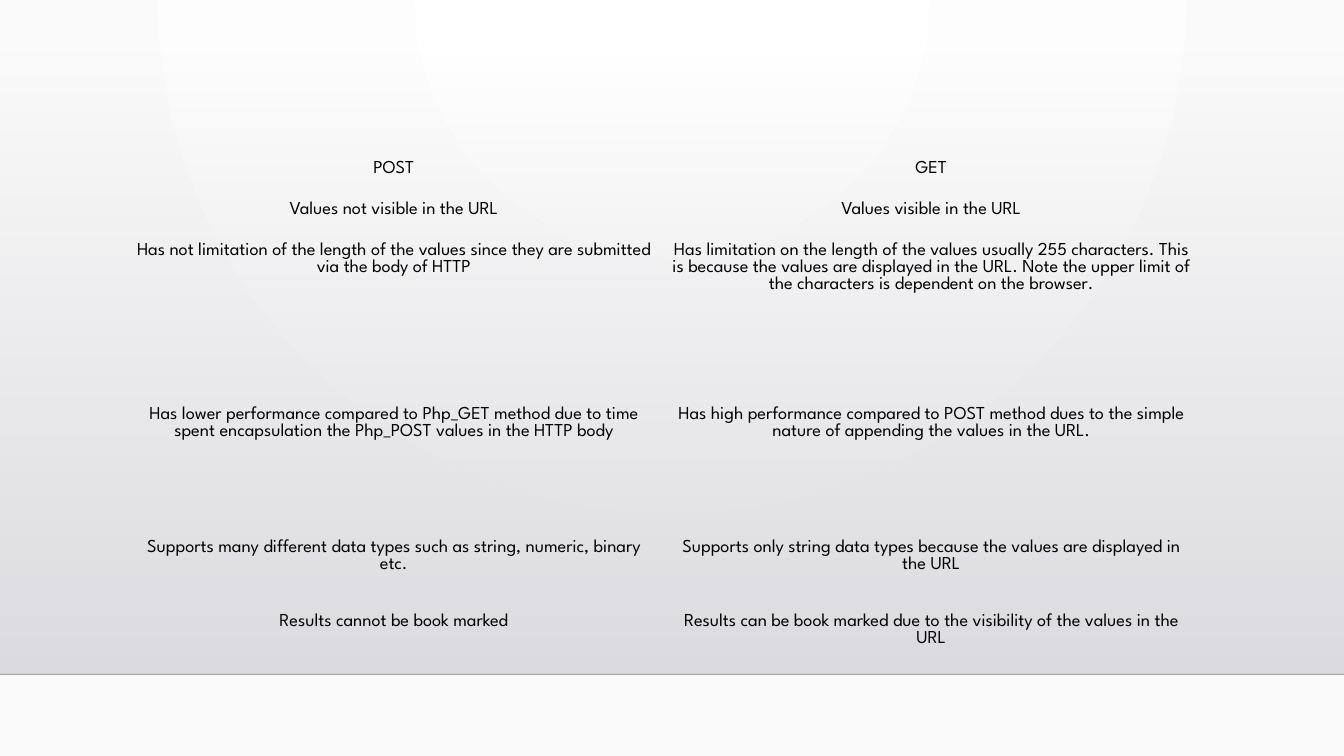
import dataclasses

import lxml.etree
import pptx
import pptx.dml.color
import pptx.enum.shapes
import pptx.enum.text
import pptx.oxml.ns
import pptx.util

Inches = pptx.util.Inches
qn = pptx.oxml.ns.qn


@dataclasses.dataclass(frozen=True)
class Theme:
    """Colours, type and styles of the slide."""
    font: str = "League Spartan"
    text_size: int = 13
    text: str = "000000"
    glow: tuple = (("FFFFFF", 100), ("FAFAFA", 100))
    wall: tuple = (("DCDCE0", 0), ("DEDEE2", 100))
    edge: str = "000001"
    edge_opacity: int = 20
    plain_table: str = "{2D5ABB26-0587-4C30-8999-92F81FD0307C}"


THEME = Theme()
SLIDE_WIDTH, SLIDE_HEIGHT = 13.33, 7.5
WALL_TOP, FLOOR = 0.51, 6.69
TABLE_LEFT, TABLE_TOP, COLUMN_WIDTH = 1.24, 1.55, 5.33
ROW_HEIGHTS = (0.41, 0.41, 1.63, 1.32, 0.73, 0.73)
COMPARISON = (
    ("POST", "GET"),
    ("Values not visible in the URL", "Values visible in the URL"),
    ("Has not limitation of the length of the values since they are submitted "
     "via the body of HTTP",
     "Has limitation on the length of the values usually 255 characters. This is "
     "because the values are displayed in the URL. Note the upper limit of the "
     "characters is dependent on the browser."),
    ("Has lower performance compared to Php_GET method due to time spent "
     "encapsulation the Php_POST values in the HTTP body",
     "Has high performance compared to POST method dues to the simple nature of "
     "appending the values in the URL."),
    ("Supports many different data types such as string, numeric, binary etc.",
     "Supports only string data types because the values are displayed in the URL"),
    ("Results cannot be book marked",
     "Results can be book marked due to the visibility of the values in the URL"),
)


def apply_format(target, values):
    """Set each named attribute of the target."""
    for name, value in values.items():
        setattr(target, name, value)


def add_xml(parent, tag, **attributes):
    """Append a child element with the given attributes."""
    values = {name: str(value) for name, value in attributes.items()}
    return lxml.etree.SubElement(parent, qn(tag), values)


def add_opacity(colour, percent):
    """Give a colour element its opacity."""
    add_xml(colour, "a:alpha", val=percent * 1000)


def fill_stops(gradient, stops):
    """Replace the content of a gradient with evenly spaced stops."""
    for child in list(gradient):
        gradient.remove(child)
    stop_list = add_xml(gradient, "a:gsLst")
    for index, (colour, opacity) in enumerate(stops):
        position = index * 100000 // (len(stops) - 1)
        stop = add_xml(stop_list, "a:gs", pos=position)
        add_opacity(add_xml(stop, "a:srgbClr", val=colour), opacity)


def paint_background(slide):
    """Paint the round glow at the top centre of the background."""
    slide.background.fill.gradient()
    glow = slide.element.xpath(".//p:bg//a:gradFill")[0]
    fill_stops(glow, THEME.glow)
    circle = add_xml(glow, "a:path", path="circle")
    add_xml(circle, "a:fillToRect", l=43000, t=0, r=43000, b=100000)


def add_wall(slide):
    """Add the wall that darkens towards the floor."""
    wall = slide.shapes.add_shape(
        pptx.enum.shapes.MSO_SHAPE.RECTANGLE, 0, Inches(WALL_TOP),
        Inches(SLIDE_WIDTH), Inches(FLOOR - WALL_TOP))
    wall.shadow.inherit = False
    wall.line.fill.background()
    wall.fill.gradient()
    shade = wall.element.xpath("./p:spPr/a:gradFill")[0]
    fill_stops(shade, THEME.wall)
    add_xml(shade, "a:lin", ang=90 * 60000, scaled=0)


def add_floor_edge(slide):
    """Add the faint line where the wall meets the floor."""
    edge = slide.shapes.add_connector(
        pptx.enum.shapes.MSO_CONNECTOR.STRAIGHT, 0, Inches(FLOOR),
        Inches(SLIDE_WIDTH), Inches(FLOOR))
    edge.line.width = pptx.util.Pt(1)
    edge.line.color.rgb = pptx.dml.color.RGBColor.from_string(THEME.edge)
    add_opacity(edge.element.xpath(".//a:ln//a:srgbClr")[0], THEME.edge_opacity)
    add_xml(edge.element.spPr, "a:effectLst")


def write_cell(cell, wording):
    """Write one centred statement in a clear cell."""
    cell.fill.background()
    apply_format(cell, {
        "margin_left": Inches(0.07), "margin_right": Inches(0.07),
        "margin_top": Inches(0.04), "margin_bottom": Inches(0.04)})
    statement = cell.text_frame.paragraphs[0]
    statement.alignment = pptx.enum.text.PP_ALIGN.CENTER
    run = statement.add_run()
    run.text = wording
    apply_format(run.font, {
        "name": THEME.font, "size": pptx.util.Pt(THEME.text_size)})
    run.font.color.rgb = pptx.dml.color.RGBColor.from_string(THEME.text)


def add_comparison(slide):
    """Add the table that compares the two methods."""
    columns = len(COMPARISON[0])
    frame = slide.shapes.add_table(
        len(COMPARISON), columns, Inches(TABLE_LEFT), Inches(TABLE_TOP),
        Inches(COLUMN_WIDTH * columns), Inches(sum(ROW_HEIGHTS)))
    comparison = frame.table
    apply_format(comparison, {"first_row": False, "horz_banding": False})
    frame.element.xpath(".//a:tableStyleId")[0].text = THEME.plain_table
    for column in comparison.columns:
        column.width = Inches(COLUMN_WIDTH)
    for row, height, wordings in zip(comparison.rows, ROW_HEIGHTS, COMPARISON):
        row.height = Inches(height)
        for cell, wording in zip(row.cells, wordings):
            write_cell(cell, wording)


def main():
    """Build the slide and save it."""
    deck = pptx.Presentation()
    apply_format(deck, {
        "slide_width": Inches(SLIDE_WIDTH), "slide_height": Inches(SLIDE_HEIGHT)})
    slide = deck.slides.add_slide(deck.slide_layouts[6])
    paint_background(slide)
    add_wall(slide)
    add_floor_edge(slide)
    add_comparison(slide)
    deck.save("out.pptx")


main()
